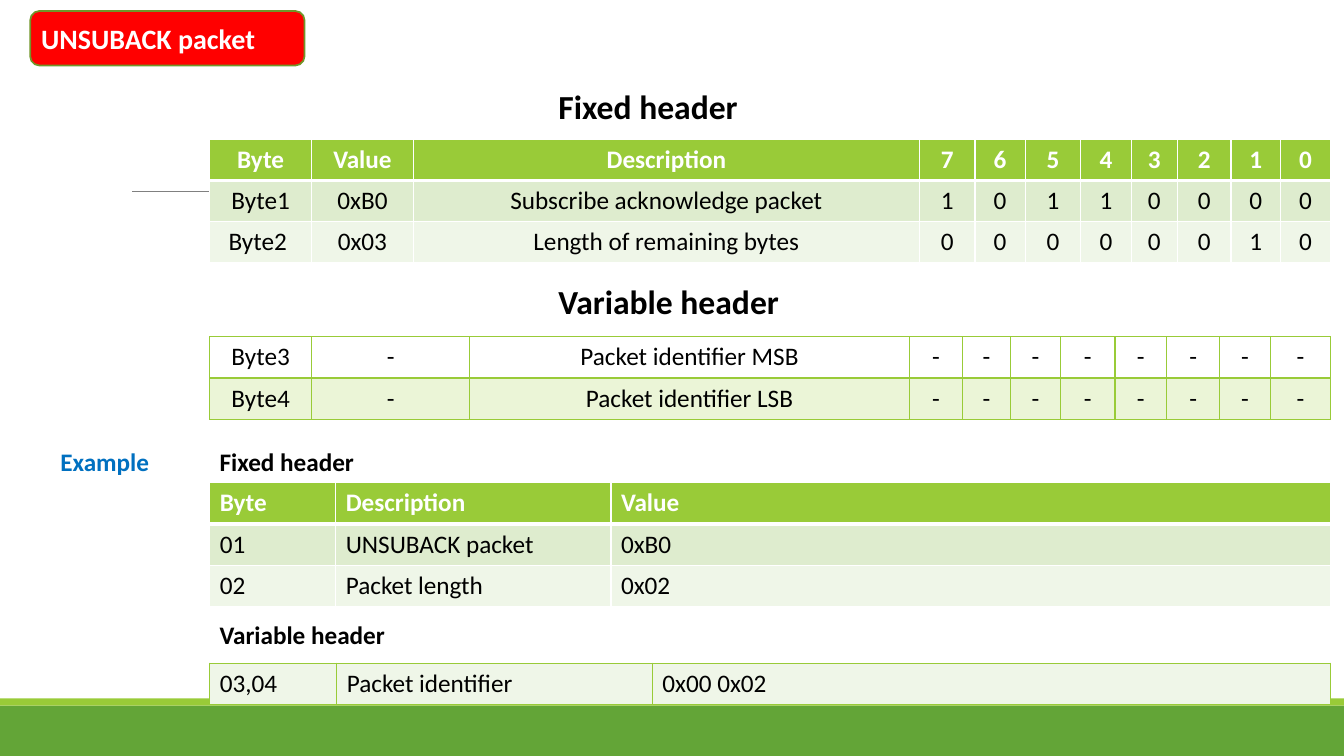
from lxml.etree import SubElement
from pptx import Presentation
from pptx.dml.color import RGBColor
from pptx.enum.shapes import MSO_CONNECTOR as Connector, MSO_SHAPE as Shape
from pptx.enum.text import MSO_ANCHOR as Anchor, PP_ALIGN as Align
from pptx.oxml.ns import qn
from pptx.util import Inches, Pt

WIDTH, HEIGHT = 13.33, 7.5
TABLE_LEFT, ROW_HEIGHT = 2.08, 0.41
FONT = "Calibri"
WHITE, BLACK, LIME, GREEN = "FFFFFF", "000000", "99CB38", "63A537"
DARK_BAND, LIGHT_BAND, LIME_TINT = "DEECCE", "EFF6E8", "EBF5D7"

BANDS = [(7, 0.5, GREEN), (6.93, 0.07, LIME)]
BADGE = (0.3, 0.11, 2.72, 0.54)

LABELS = [
    ("UNSUBACK packet", 0.31, 0.16, 2.72, 0.44, 20, WHITE),
    ("Fixed header", 5.44, 0.8, 2.35, 0.5, 24, BLACK),
    ("Variable header", 5.44, 2.74, 2.87, 0.5, 24, BLACK),
    ("Fixed header", TABLE_LEFT, 4.38, 2.25, 0.4, 18, BLACK),
    ("Variable header", TABLE_LEFT, 6.09, 2.44, 0.4, 18, BLACK),
    ("Example", 0.5, 4.38, 1.27, 0.4, 18, "0070C0"),
]

TABLES = [
    dict(top=1.38, align=Align.CENTER, border=WHITE, header=True,
         columns=[1.01, 1.01, 5.02, 0.55, 0.5, 0.55, 0.5, 0.46, 0.53, 0.49, 0.5],
         fills=[LIME, DARK_BAND, LIGHT_BAND],
         rows=[["Byte", "Value", "Description", *"76543210"],
               ["Byte1", "0xB0", "Subscribe acknowledge packet", *"10110000"],
               ["Byte2 ", "0x03", "Length of remaining bytes", *"00000010"]]),
    dict(top=3.34, align=Align.CENTER, border=LIME, header=False,
         columns=[1.01, 1.57, 4.36, 0.53, 0.47, 0.5, 0.54, 0.51, 0.53, 0.5, 0.6],
         fills=[None, LIME_TINT],
         rows=[["Byte3", "-", "Packet identifier MSB", *"--------"],
               ["Byte4", "-", "Packet identifier LSB", *"--------"]]),
    dict(top=4.79, align=Align.LEFT, border=WHITE, header=True,
         columns=[1.25, 2.73, 7.14], fills=[LIME, DARK_BAND, LIGHT_BAND],
         rows=[["Byte", "Description", "Value"],
               ["01", "UNSUBACK packet", "0xB0"],
               ["02", "Packet length", "0x02"]]),
    dict(top=6.58, align=Align.LEFT, border=LIME, header=False,
         columns=[1.26, 3.13, 6.73], fills=[LIGHT_BAND],
         rows=[["03,04", "Packet identifier", "0x00 0x02"]]),
]


def rgb(color):
    return RGBColor.from_string(color)


def paint(fill, color):
    if color is None:
        fill.background()
    else:
        fill.solid()
        fill.fore_color.rgb = rgb(color)


def write(frame, text, size, color, bold, align=Align.LEFT):
    frame.text = text
    paragraph = frame.paragraphs[0]
    paragraph.alignment = align
    font = paragraph.runs[0].font
    font.name, font.size, font.bold = FONT, Pt(size), bold
    font.color.rgb = rgb(color)


def add_block(slide, kind, left, top, width, height, color):
    block = slide.shapes.add_shape(
        kind, Inches(left), Inches(top), Inches(width), Inches(height))
    block.shadow.inherit = False
    paint(block.fill, color)
    block.line.fill.background()
    return block


def add_rule(slide):
    rule = slide.shapes.add_connector(
        Connector.STRAIGHT, Inches(1.31), Inches(1.9), Inches(12.21), Inches(1.9))
    rule.line.color.rgb = rgb("808080")
    rule.line.width = Pt(0.5)
    SubElement(rule.element.spPr, qn("a:effectLst"))


def add_label(slide, text, left, top, width, height, size, color):
    label = slide.shapes.add_textbox(
        Inches(left), Inches(top), Inches(width), Inches(height))
    label.text_frame.word_wrap = True
    write(label.text_frame, text, size, color, True)


def add_borders(cell, color, bottom):
    properties = cell._tc.get_or_add_tcPr()
    for side, points in (("L", 1), ("R", 1), ("T", 1), ("B", bottom)):
        edge = SubElement(properties, qn(f"a:ln{side}"), w=str(Pt(points)))
        SubElement(SubElement(edge, qn("a:solidFill")), qn("a:srgbClr"), val=color)


def add_grid(slide, top, align, border, header, columns, fills, rows):
    grid = slide.shapes.add_table(
        len(rows), len(columns), Inches(TABLE_LEFT), Inches(top),
        Inches(sum(columns)), Inches(ROW_HEIGHT * len(rows))).table
    for column, width in zip(grid.columns, columns):
        column.width = Inches(width)
    for r, (row, fill) in enumerate(zip(rows, fills)):
        heading = header and r == 0
        for c, text in enumerate(row):
            cell = grid.cell(r, c)
            add_borders(cell, border, 3 if heading else 1)
            paint(cell.fill, fill)
            cell.vertical_anchor = Anchor.TOP
            write(cell.text_frame, text, 18, WHITE if heading else BLACK, heading, align)


def main():
    """Build the UNSUBACK packet slide."""
    deck = Presentation()
    deck.slide_width, deck.slide_height = Inches(WIDTH), Inches(HEIGHT)
    slide = deck.slides.add_slide(deck.slide_layouts[6])
    for top, height, color in BANDS:
        add_block(slide, Shape.RECTANGLE, 0, top, WIDTH, height, color)
    add_rule(slide)
    badge = add_block(slide, Shape.ROUNDED_RECTANGLE, *BADGE, "FF0000")
    badge.line.color.rgb = rgb("719629")
    badge.line.width = Pt(1.25)
    for grid in TABLES:
        add_grid(slide, **grid)
    for label in LABELS:
        add_label(slide, *label)
    deck.save("out.pptx")


if __name__ == "__main__":
    main()
